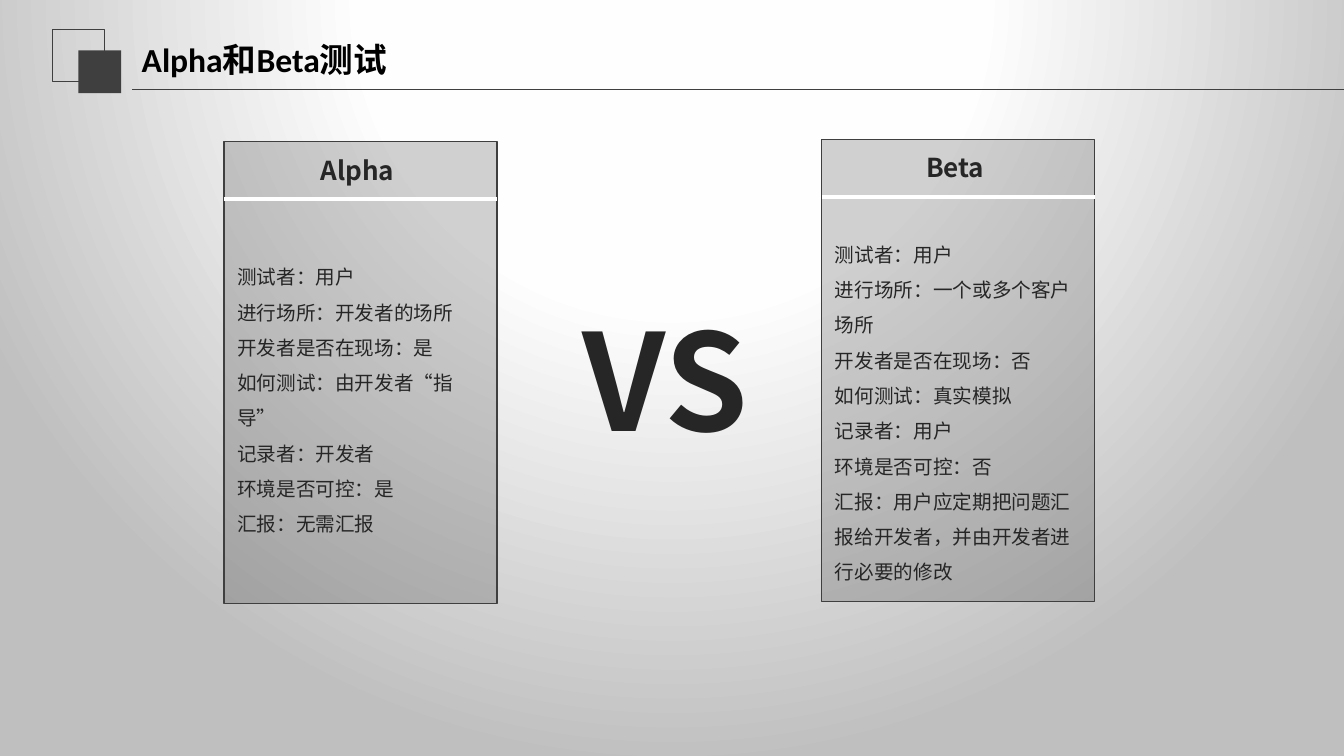
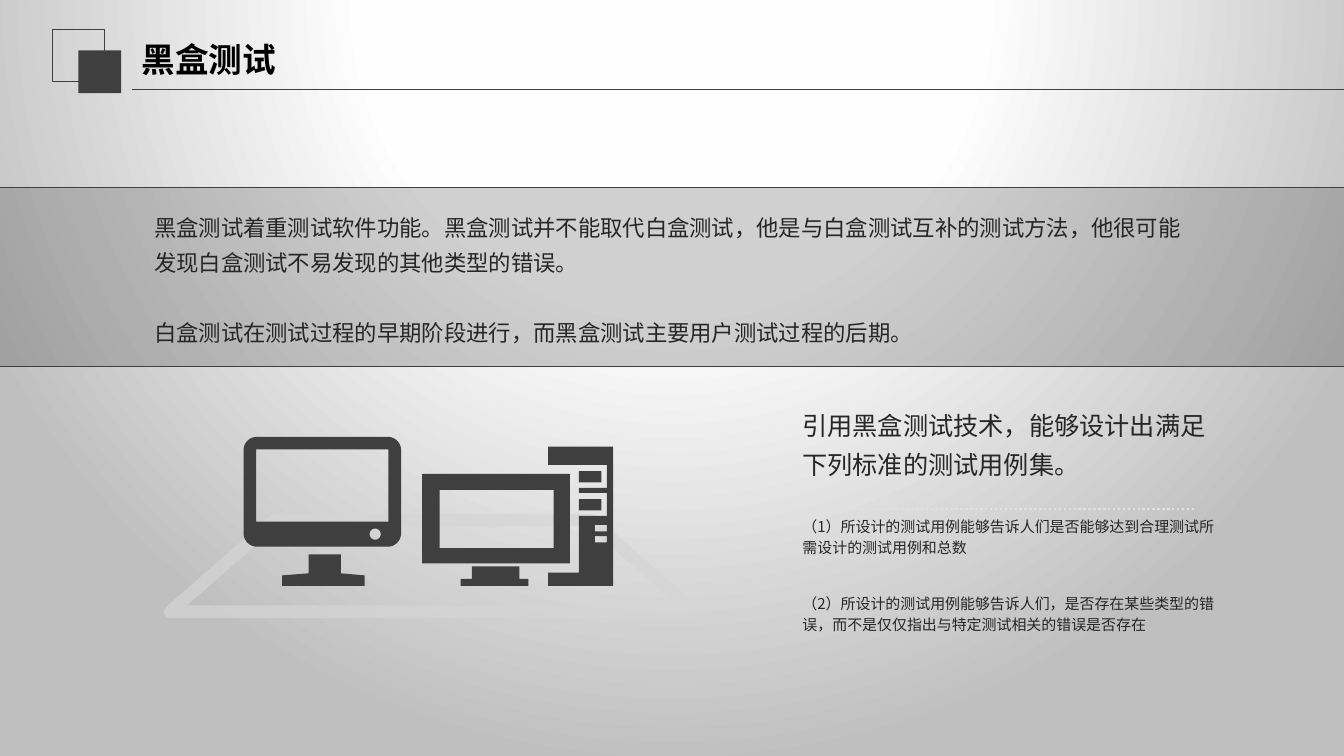
import math

import pptx
import pptx.dml.color
import pptx.enum.dml
import pptx.enum.shapes
import pptx.enum.text
import pptx.oxml
import pptx.oxml.ns
import pptx.util

Pt = pptx.util.Pt
qn = pptx.oxml.ns.qn
SHAPES = pptx.enum.shapes.MSO_SHAPE
ALIGN = pptx.enum.text.PP_ALIGN
ANCHOR = pptx.enum.text.MSO_ANCHOR
FIT = pptx.enum.text.MSO_AUTO_SIZE

DARK, INK, BLACK, WHITE = "3F3F3F", "262626", "000000", "FFFFFF"
FLOOR, DOTS = "D5D5D5", "E0E0E0"
FONT, TITLE_FONT = "Noto Sans CJK SC", "Calibri"
BACKDROP = [(0, WHITE), (40, "FEFEFE"), (100, "BFBFBF")]
LIST_INSETS = (9.4, 0, 9.4, 0)
NAME_INSETS = (0, 0, 9.4, 0)
BOX_INSETS = (7.2, 3.6, 7.2, 3.6)


def rgb(color):
    return pptx.dml.color.RGBColor.from_string(color)


def add_xml(parent, tag, **attrs):
    child = parent.makeelement(qn(tag), attrs)
    parent.append(child)
    return child


def box(x, y, w, h):
    """Corner points of a rectangle."""
    return [(x, y), (x + w, y), (x + w, y + h), (x, y + h)]


def rounded(x, y, w, h, radius, steps=8):
    """Outline points of a rectangle with round corners."""
    centres = box(x + radius, y + radius, w - 2 * radius, h - 2 * radius)
    points = []
    for corner, (cx, cy) in enumerate(centres):
        for step in range(steps + 1):
            angle = math.pi * (1 + (corner + step / steps) / 2)
            points.append((cx + radius * math.cos(angle), cy + radius * math.sin(angle)))
    return points


class Deck:
    """Holds the shared style and the current slide."""

    def __init__(self):
        self.prs = pptx.Presentation()
        self.prs.slide_width, self.prs.slide_height = Pt(960), Pt(540)
        self.s = None
        self.backdrop()

    def backdrop(self):
        """Radial gradient on the slide master."""
        master = self.prs.slide_master
        master.background.fill.solid()
        bg = master.element.find(".//" + qn("p:bgPr"))
        bg.remove(bg.find(qn("a:solidFill")))
        grad = bg.makeelement(qn("a:gradFill"), {"rotWithShape": "1"})
        bg.insert(0, grad)
        stops = add_xml(grad, "a:gsLst")
        for position, color in BACKDROP:
            stop = add_xml(stops, "a:gs", pos=str(position * 1000))
            add_xml(stop, "a:srgbClr", val=color)
        circle = add_xml(grad, "a:path", path="circle")
        add_xml(circle, "a:fillToRect", l="50000", t="-80000", r="50000", b="180000")

    def slide(self, title):
        """New slide with the title and its square ornament."""
        self.s = self.prs.slides.add_slide(self.prs.slide_layouts[3])
        self.shape(37.5, 21, 37.5, 37.5, line=DARK, width=0.75)
        self.shape(56, 36, 30.5, 30.5, fill=DARK)
        self.line(94.5, 971, 64, DARK, 1.25)
        sp = self.s.shapes.title
        self.place(sp, 94, 21, 341, 42)
        self.fill_text(sp, [title], 24, color=BLACK, font=TITLE_FONT, bold=True,
                       anchor=ANCHOR.MIDDLE, fit=FIT.NONE)

    def place(self, sp, x, y, w, h):
        sp.left, sp.top, sp.width, sp.height = Pt(x), Pt(y), Pt(w), Pt(h)

    def paint(self, sp, fill=None, line=None, width=1, alpha=None):
        sp.shadow.inherit = False
        if fill:
            sp.fill.solid()
            sp.fill.fore_color.rgb = rgb(fill)
        else:
            sp.fill.background()
        if line:
            sp.line.color.rgb = rgb(line)
            sp.line.width = Pt(width)
        else:
            sp.line.fill.background()
        if alpha:
            # The first colour is the fill, or the line when there is no fill
            clr = sp.element.spPr.find(".//" + qn("a:srgbClr"))
            add_xml(clr, "a:alpha", val=str(alpha * 1000))

    def shape(self, x, y, w, h, kind=SHAPES.RECTANGLE, **style):
        sp = self.s.shapes.add_shape(kind, Pt(x), Pt(y), Pt(w), Pt(h))
        self.paint(sp, **style)
        return sp

    def panel(self, x, y, w, h):
        self.shape(x, y, w, h, fill=DARK, line=DARK, alpha=24)

    def line(self, x1, x2, y, color, width, dash=None):
        """Horizontal rule."""
        cn = self.s.shapes.add_connector(
            pptx.enum.shapes.MSO_CONNECTOR.STRAIGHT, Pt(x1), Pt(y), Pt(x2), Pt(y))
        cn.line.color.rgb = rgb(color)
        cn.line.width = Pt(width)
        if dash:
            cn.line.dash_style = dash
        add_xml(cn.element.spPr, "a:effectLst")

    def outline(self, contours):
        """One dark freeform; inner contours become holes."""
        first, *others = [[(Pt(x), Pt(y)) for x, y in c] for c in contours]
        builder = self.s.shapes.build_freeform(*first[0])
        builder.add_line_segments(first[1:], close=True)
        for points in others:
            builder.move_to(*points[0])
            builder.add_line_segments(points[1:], close=True)
        self.paint(builder.convert_to_shape(), fill=DARK)

    def text(self, x, y, w, h, lines, size, **style):
        sp = self.s.shapes.add_textbox(Pt(x), Pt(y), Pt(w), Pt(h))
        self.fill_text(sp, lines, size, **style)

    def body(self, idx, x, y, w, h, lines, size, **style):
        """Body placeholder without bullets, brought to the front."""
        sp = self.s.placeholders[idx]
        self.place(sp, x, y, w, h)
        self.fill_text(sp, lines, size, **style)
        for p in sp.text_frame.paragraphs:
            pPr = p._p.get_or_add_pPr()
            pPr.set("marL", "0")
            pPr.set("indent", "0")
            add_xml(pPr, "a:buNone")
        self.s.shapes.element.append(sp.element)

    def fill_text(self, sp, lines, size, color=INK, font=FONT, bold=False,
                  align=ALIGN.LEFT, anchor=ANCHOR.TOP, insets=BOX_INSETS, spacing=1,
                  gap=0, fit=FIT.SHAPE_TO_FIT_TEXT):
        tf = sp.text_frame
        tf.word_wrap, tf.auto_size, tf.vertical_anchor = True, fit, anchor
        tf.margin_left, tf.margin_top, tf.margin_right, tf.margin_bottom = map(Pt, insets)
        for i, line in enumerate(lines):
            p = tf.add_paragraph() if i else tf.paragraphs[0]
            p.alignment, p.line_spacing = align, spacing
            p.space_before = Pt(0)
            p.space_after = Pt(gap if i < len(lines) - 1 else 0)
            r = p.add_run()
            r.text = line
            r.font.name, r.font.size, r.font.bold = font, Pt(size), bold
            r.font.color.rgb = rgb(color)
            rPr = r._r.get_or_add_rPr()
            rPr.set("lang", "zh-CN")
            add_xml(rPr, "a:ea", typeface=FONT)

    def card(self, idx, x, y, name, list_y, list_h, lines):
        """Panel with a heading, a white rule and a list."""
        self.panel(x, y, 195, 330)
        self.line(x, x + 195, y + 41, WHITE, 3)
        self.text(x + 2.5, y + 9, 195, 22, [name], 18.6, bold=True,
                  align=ALIGN.CENTER, insets=NAME_INSETS)
        self.body(idx, x, list_y, 195, list_h, lines, 14, spacing=1.5, insets=LIST_INSETS)


def comparison_slide(deck):
    deck.slide("Alpha和Beta测试")
    deck.card(1, 160, 101, "Alpha", 181, 178, [
        "测试者：用户",
        "进行场所：开发者的场所",
        "开发者是否在现场：是",
        "如何测试：由开发者“指导”",
        "记录者：开发者",
        "环境是否可控：是",
        "汇报：无需汇报",
    ])
    deck.card(2, 587, 99.5, "Beta", 165, 254, [
        "测试者：用户",
        "进行场所：一个或多个客户场所",
        "开发者是否在现场：否",
        "如何测试：真实模拟",
        "记录者：用户",
        "环境是否可控：否",
        "汇报：用户应定期把问题汇报给开发者，并由开发者进行必要的修改",
    ])
    deck.text(329, 212, 302, 117, ["VS"], 96, bold=True, align=ALIGN.CENTER,
              insets=NAME_INSETS)


def black_box_slide(deck):
    deck.slide("黑盒测试")

    # Band with the explanation
    deck.panel(-6, 134, 971, 128)
    deck.text(103, 144, 753, 108, [
        "黑盒测试着重测试软件功能。黑盒测试并不能取代白盒测试，他是与白盒测试互补的测试方法，"
        "他很可能发现白盒测试不易发现的其他类型的错误。",
        "白盒测试在测试过程的早期阶段进行，而黑盒测试主要用户测试过程的后期。",
    ], 16, spacing=1.3, gap=25)

    # Floor under the computers
    floor = deck.shape(121.5, 371.5, 375, 65.5, kind=SHAPES.FLOWCHART_MANUAL_OPERATION,
                       line=FLOOR, width=9, alpha=70)
    floor.rotation = 180

    # Desktop computer: screen, stand, tower, drive bays, slots
    deck.outline([
        box(301.5, 338.5, 105.5, 64),
        box(314, 350, 81.5, 41.5),
        [(329, 413.5), (337, 413.5), (337, 404.5), (371, 404.5), (371, 413.5),
         (377.5, 413.5), (377.5, 418.5), (329, 418.5)],
        [(391.5, 418.5), (438, 418.5), (438, 319), (391.5, 319), (391.5, 332),
         (433.5, 332), (433.5, 348.5), (413.5, 348.5), (413.5, 352), (433.5, 352),
         (433.5, 368.5), (413.5, 368.5), (413.5, 409), (391.5, 409)],
        box(413.5, 336.5, 16, 8),
        box(413.5, 356.5, 16, 8),
        box(425, 375, 8.5, 4.5),
        box(425, 383, 8.5, 4.5),
    ])

    # Round-cornered monitor: case, screen, button, stand
    deck.outline([
        rounded(174, 312, 112.5, 78.5, 9.5),
        box(183, 321, 94.5, 51.5),
        rounded(264, 377.5, 8, 8, 4),
        [(201.5, 411), (220.5, 409.5), (220.5, 396), (243.5, 396), (243.5, 409.5),
         (260.5, 411), (260.5, 418.5), (201.5, 418.5)],
    ])

    # Criteria for the test cases
    deck.line(570, 854, 363.5, DOTS, 1.75, pptx.enum.dml.MSO_LINE.ROUND_DOT)
    deck.body(1, 566, 363.5, 317.5, 38, [
        "（1）所设计的测试用例能够告诉人们是否能够达到合理测试所需设计的测试用例和总数",
    ], 10.7, spacing=1.2)
    deck.body(2, 566, 418.5, 309, 38, [
        "（2）所设计的测试用例能够告诉人们，是否存在某些类型的错误，"
        "而不是仅仅指出与特定测试相关的错误是否存在",
    ], 10.7, spacing=1.2)
    deck.text(566, 283, 309, 64, ["引用黑盒测试技术，能够设计出满足下列标准的测试用例集。"],
              18, spacing=1.3)


def main():
    deck = Deck()
    comparison_slide(deck)
    black_box_slide(deck)
    deck.prs.save("out.pptx")


if __name__ == "__main__":
    main()
